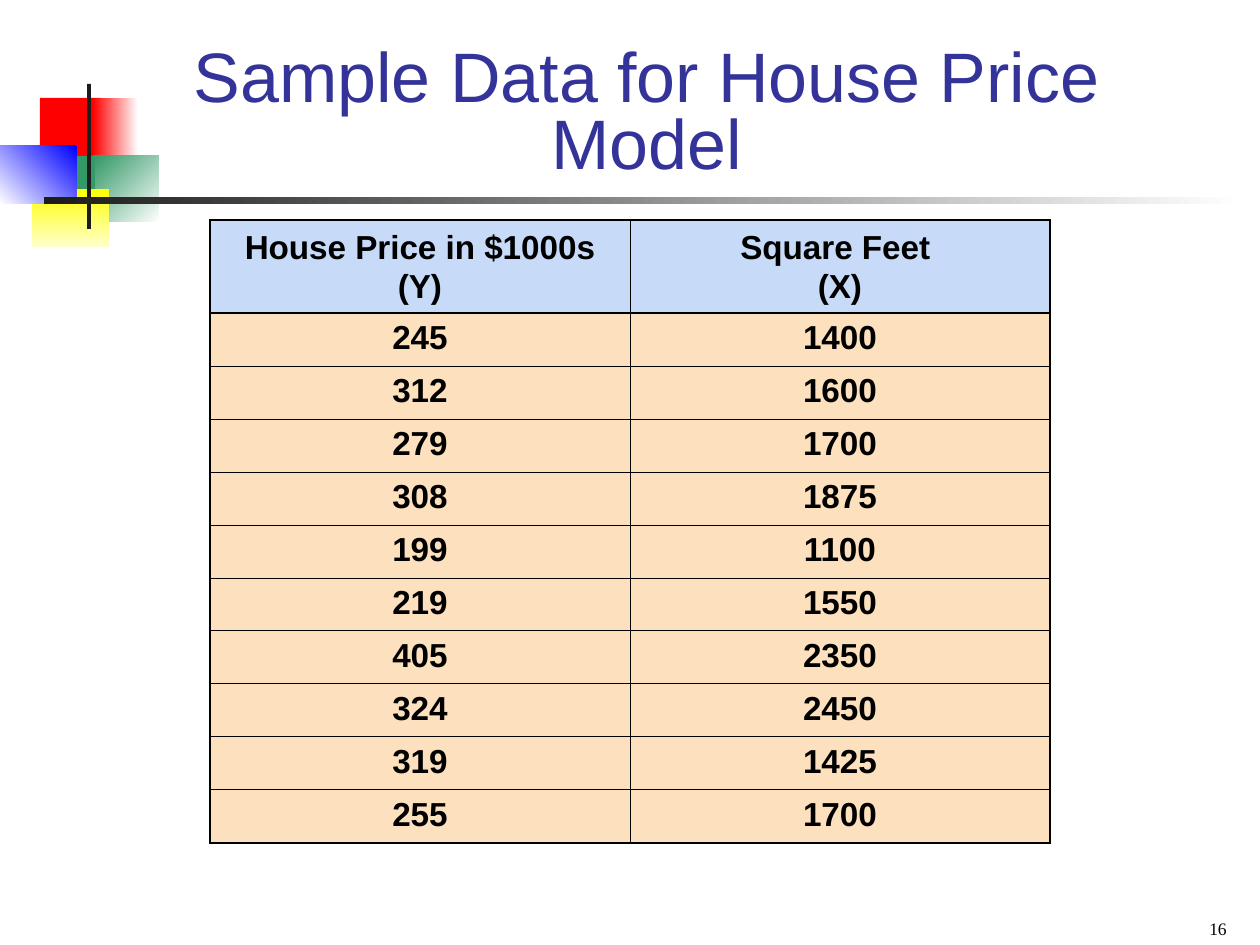
from lxml.etree import SubElement
from pptx import Presentation
from pptx.dml.color import RGBColor
from pptx.enum.shapes import MSO_SHAPE
from pptx.enum.text import MSO_ANCHOR, PP_ALIGN
from pptx.oxml.ns import qn
from pptx.util import Emu, Pt

COLORS = {
    "red": "FF0000", "green": "339966", "yellow": "FFFF00", "cream": "FFFFCC",
    "blue": "0000FF", "white": "FFFFFF", "dark": "1C1C1C", "title": "333399",
    "black": "000000", "header": "C7DAF7", "body": "FDE0BD",
}
RGB = {name: RGBColor.from_string(value) for name, value in COLORS.items()}


def px(n):
    """Turn slide pixels (126 to the inch) into EMU."""
    return Emu(round(n * 914400 / 126))


def style(p, size, font, color, align, bold=False):
    p.alignment = align
    for r in p.runs:
        r.font.size = Pt(size)
        r.font.name = font
        r.font.bold = bold
        r.font.color.rgb = RGB[color]


prs = Presentation()
prs.slide_width, prs.slide_height = px(1260), px(945)
s = prs.slides.add_slide(prs.slide_layouts[6])

# Corner ornament: left, top, width, height, start colour, end colour, clockwise angle
ornament = [
    (40, 98, 61, 66, "red", None, 0),
    (93, 98, 45, 66, "white", "red", 180),
    (94, 156, 65, 66, "white", "green", 225),
    (54, 156, 41, 66, "green", None, 0),
    (32, 189, 77, 58, "yellow", "cream", 90),
    (0, 146, 77, 58, "blue", "white", 135),
    (87, 84, 4, 145, "dark", None, 0),
    (44, 197, 1198, 7, "white", "dark", 180),
]
for x, y, w, h, start, end, angle in ornament:
    sp = s.shapes.add_shape(MSO_SHAPE.RECTANGLE, px(x), px(y), px(w), px(h))
    sp.shadow.inherit = False
    sp.line.fill.background()
    if end is None:
        sp.fill.solid()
        sp.fill.fore_color.rgb = RGB[start]
    else:
        sp.fill.gradient()
        sp.fill.gradient_angle = 360 - angle
        for stop, color in zip(sp.fill.gradient_stops, (start, end)):
            stop.color.rgb = RGB[color]

# Title and slide number
texts = [
    (159, 53, 975, 136, "Sample Data for House Price Model",
     40, "Arial", "title", PP_ALIGN.CENTER, 0.8),
    (945, 901, 294, 44, "16",
     10, "Times New Roman", "black", PP_ALIGN.RIGHT, 1.0),
]
for x, y, w, h, text, size, font, color, align, spacing in texts:
    tf = s.shapes.add_textbox(px(x), px(y), px(w), px(h)).text_frame
    tf.word_wrap = True
    tf.vertical_anchor = MSO_ANCHOR.BOTTOM
    tf.text = text
    p = tf.paragraphs[0]
    p.line_spacing = spacing
    style(p, size, font, color, align)

# Data table
rows = [
    ("House Price in $1000s\n(Y)", "Square Feet \n(X)"),
    (245, 1400), (312, 1600), (279, 1700), (308, 1875), (199, 1100),
    (219, 1550), (405, 2350), (324, 2450), (319, 1425), (255, 1700),
]
HEADER_H, ROW_H, COL_W = 93, 53, 420
THICK, THIN = Pt(1.08), Pt(0.45)
last = len(rows) - 1
table = s.shapes.add_table(len(rows), 2, px(210), px(220), px(2 * COL_W),
                           px(HEADER_H + last * ROW_H)).table
for col in table.columns:
    col.width = px(COL_W)
for i, values in enumerate(rows):
    table.rows[i].height = px(ROW_H if i else HEADER_H)
    for j, value in enumerate(values):
        cell = table.cell(i, j)
        borders = {
            "a:lnL": THIN if j else THICK,
            "a:lnR": THICK if j else THIN,
            "a:lnT": THICK if i < 2 else THIN,
            "a:lnB": THICK if i in (0, last) else THIN,
        }
        for tag, width in borders.items():
            ln = SubElement(cell._tc.get_or_add_tcPr(), qn(tag), w=str(width))
            fill = SubElement(ln, qn("a:solidFill"))
            SubElement(fill, qn("a:srgbClr"), val=COLORS["black"])
        cell.fill.solid()
        cell.fill.fore_color.rgb = RGB["body" if i else "header"]
        cell.vertical_anchor = MSO_ANCHOR.TOP if i else MSO_ANCHOR.MIDDLE
        cell.text_frame.text = str(value)
        for k, p in enumerate(cell.text_frame.paragraphs):
            style(p, 19, "Arial", "black", PP_ALIGN.CENTER, bold=True)
            if k:
                p.space_before = Pt(4.8)
                p.line_spacing = 0.8

prs.save("out.pptx")
